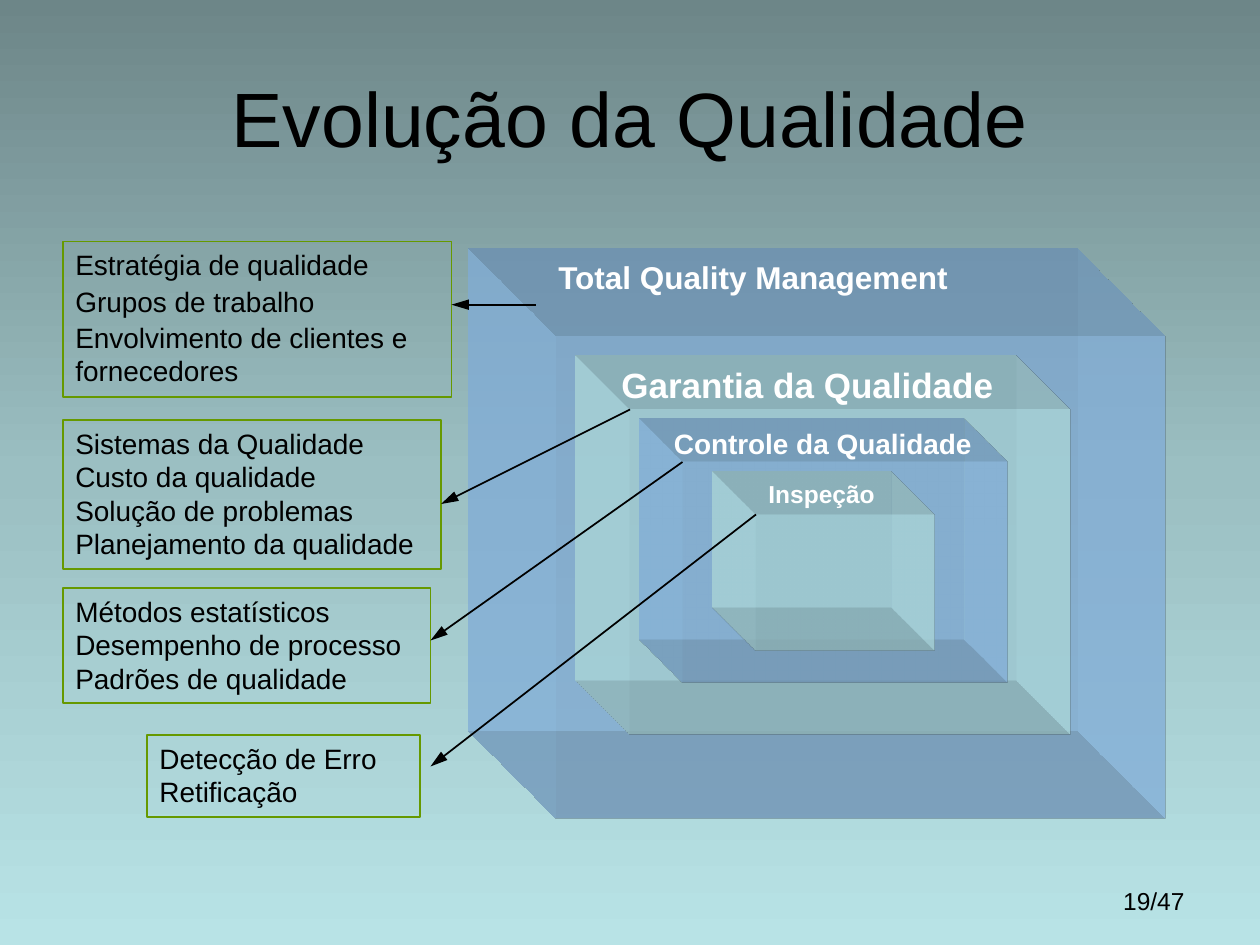
from copy import deepcopy
from dataclasses import dataclass

from lxml.etree import SubElement
from pptx import Presentation
from pptx.dml.color import RGBColor
from pptx.enum.shapes import MSO_CONNECTOR, MSO_SHAPE
from pptx.enum.text import MSO_ANCHOR, PP_ALIGN
from pptx.oxml.ns import qn
from pptx.util import Inches, Pt

FONT = "Arial"
BLACK = RGBColor(0x00, 0x00, 0x00)
WHITE = RGBColor(0xFF, 0xFF, 0xFF)
GREEN = RGBColor(0x66, 0x99, 0x00)
BLUE = RGBColor(0x99, 0xCC, 0xFF)
AQUA = RGBColor(0xCC, 0xFF, 0xFF)
BACKGROUND = (RGBColor(0x6D, 0x86, 0x88), RGBColor(0x9B, 0xBF, 0xC2),
              RGBColor(0xB8, 0xE3, 0xE6))


def grid(units: float) -> int:
    """Length on a grid of twelve units to the inch."""
    return Inches(units / 12)


@dataclass
class Block:
    left: float
    top: float
    width: float
    height: float
    depth: float
    color: RGBColor


@dataclass
class Label:
    text: str
    left: float
    top: float
    width: float
    height: float
    size: float
    color: RGBColor = WHITE
    bold: bool = True
    align: PP_ALIGN = PP_ALIGN.LEFT
    anchor: MSO_ANCHOR = MSO_ANCHOR.TOP


@dataclass
class Note:
    lines: tuple[str, ...]
    left: float
    top: float
    width: float
    height: float
    arrow: tuple[float, float, float, float]
    gap: float = 0


BLOCKS = (
    Block(53, 32, 58, 46, 23.65, BLUE),
    Block(60, 39, 42, 31, 14.65, AQUA),
    Block(65, 44, 31, 21, 11.65, BLUE),
    Block(72, 49, 17, 13, 11.65, AQUA),
)
LABELS = (
    Label("Evolução da Qualidade", 6, 3.6, 108, 15, 44, BLACK, False,
          PP_ALIGN.CENTER, MSO_ANCHOR.MIDDLE),
    Label("Total Quality Management", 52, 24, 54, 6, 18),
    Label("Garantia da Qualidade", 58, 34, 42, 5.2, 20),
    Label("Controle da Qualidade", 63, 40, 34, 4.4, 16),
    Label("Inspeção", 72, 45, 17, 4, 14),
    Label("19/47", 86, 83.8, 28, 6.2, 14, BLACK, False, PP_ALIGN.RIGHT),
)
NOTES = (
    Note(("Detecção de Erro", "Retificação"),
         14, 70, 26, 7.8, (72, 49, 41, 73)),
    Note(("Métodos estatísticos", "Desempenho de processo",
          "Padrões de qualidade"),
         6, 56, 35, 11, (65, 44, 41, 61)),
    Note(("Sistemas da Qualidade", "Custo da qualidade",
          "Solução de problemas", "Planejamento da qualidade"),
         6, 40, 36, 14.2, (60, 39, 42, 48)),
    Note(("Estratégia de qualidade", "Grupos de trabalho",
          "Envolvimento de clientes e fornecedores"),
         6, 23, 37, 14.85, (51, 29.02, 43, 29.02), 1.6),
)


def paint_background(slide) -> None:
    fill = slide.background.fill
    fill.gradient()
    fill.gradient_angle = 270
    stops = slide.background._cSld.find(".//" + qn("a:gsLst"))
    stops.insert(1, deepcopy(stops[0]))
    for index, (stop, color) in enumerate(zip(fill.gradient_stops, BACKGROUND)):
        stop.color.rgb = color
        stop.position = index / 2


def add_rectangle(slide, part: Block | Note):
    shape = slide.shapes.add_shape(
        MSO_SHAPE.RECTANGLE, grid(part.left), grid(part.top),
        grid(part.width), grid(part.height))
    shape.shadow.inherit = False
    return shape


def add_block(slide, block: Block) -> None:
    shape = add_rectangle(slide, block)
    shape.line.fill.background()
    shape.fill.solid()
    shape.fill.fore_color.rgb = block.color
    properties = shape._element.spPr
    SubElement(properties.find(".//" + qn("a:srgbClr")), qn("a:alpha"),
               val="50000")
    # Oblique extrusion towards the top left
    scene = SubElement(properties, qn("a:scene3d"))
    SubElement(scene, qn("a:camera"), prst="legacyObliqueTopLeft")
    SubElement(scene, qn("a:lightRig"), rig="legacyFlat3", dir="b")
    solid = SubElement(properties, qn("a:sp3d"), prstMaterial="legacyMatte",
                       extrusionH=str(grid(block.depth)))
    for bevel in ("a:bevelT", "a:bevelB"):
        SubElement(solid, qn(bevel), w="13500", h="13500", prst="angle")
    extrusion_color = SubElement(solid, qn("a:extrusionClr"))
    SubElement(extrusion_color, qn("a:srgbClr"), val=str(block.color))


def add_label(slide, label: Label) -> None:
    box = slide.shapes.add_textbox(grid(label.left), grid(label.top),
                                   grid(label.width), grid(label.height))
    frame = box.text_frame
    frame.word_wrap = True
    frame.vertical_anchor = label.anchor
    paragraph = frame.paragraphs[0]
    paragraph.text = label.text
    paragraph.alignment = label.align
    style_font(paragraph, label.size, label.color, label.bold)


def style_font(paragraph, size: float, color: RGBColor, bold: bool) -> None:
    font = paragraph.font
    font.name, font.size, font.bold = FONT, Pt(size), bold
    font.color.rgb = color


def add_note(slide, note: Note) -> None:
    shape = add_rectangle(slide, note)
    shape.fill.background()
    shape.line.color.rgb = GREEN
    shape.line.width = Pt(1)
    frame = shape.text_frame
    frame.word_wrap = True
    frame.vertical_anchor = MSO_ANCHOR.TOP
    for index, line in enumerate(note.lines):
        paragraph = frame.add_paragraph() if index else frame.paragraphs[0]
        paragraph.text = line
        paragraph.alignment = PP_ALIGN.LEFT
        if index and note.gap:
            paragraph.space_before = Pt(note.gap)
        style_font(paragraph, 16, BLACK, False)
    add_arrow(slide, note.arrow)


def add_arrow(slide, ends: tuple[float, float, float, float]) -> None:
    arrow = slide.shapes.add_connector(MSO_CONNECTOR.STRAIGHT, *map(grid, ends))
    arrow.line.color.rgb = BLACK
    arrow.line.width = Pt(1)
    SubElement(arrow.line._get_or_add_ln(), qn("a:tailEnd"),
               type="triangle", w="med", len="lg")
    SubElement(arrow._element.spPr, qn("a:effectLst"))


def main() -> None:
    presentation = Presentation()
    presentation.slide_width = Inches(10)
    presentation.slide_height = Inches(7.5)
    slide = presentation.slides.add_slide(presentation.slide_layouts[6])
    paint_background(slide)
    # Nested blocks, then their names, then the notes that explain them
    for block in BLOCKS:
        add_block(slide, block)
    for label in LABELS:
        add_label(slide, label)
    for note in NOTES:
        add_note(slide, note)
    presentation.save("out.pptx")


if __name__ == "__main__":
    main()
